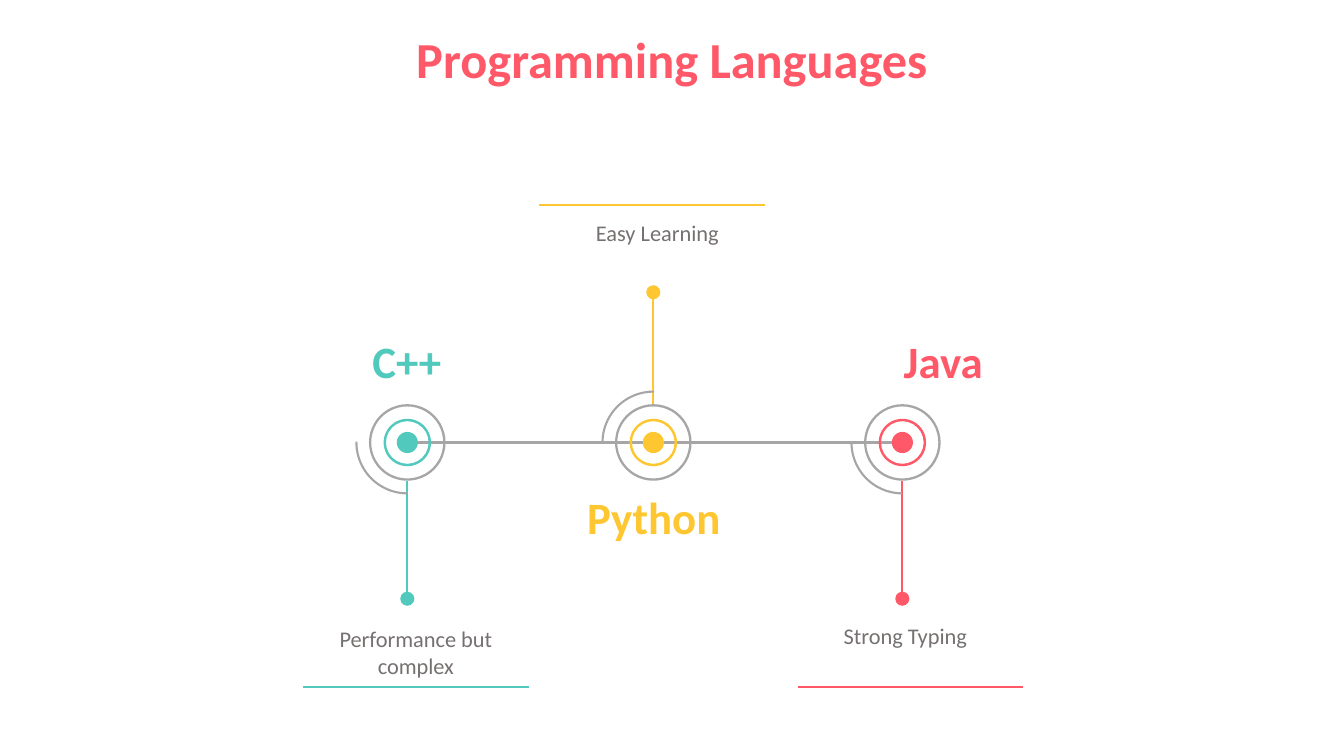
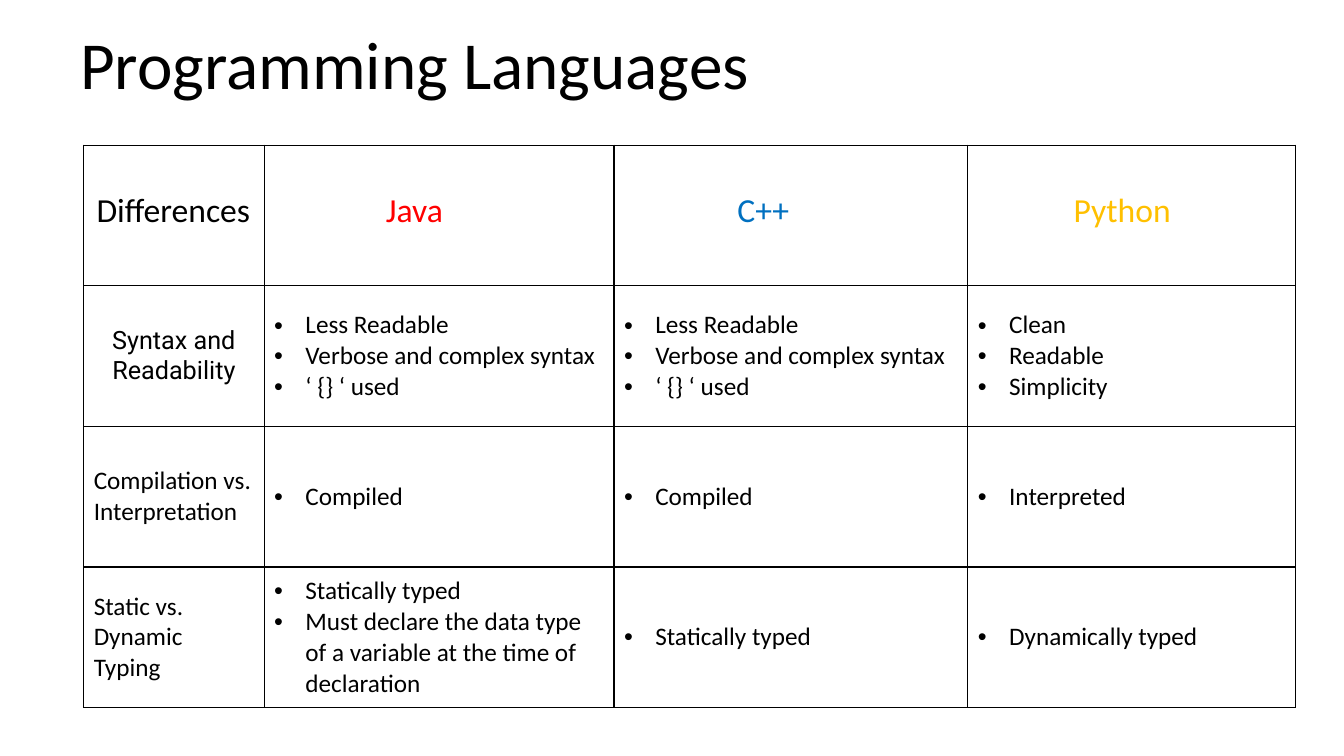
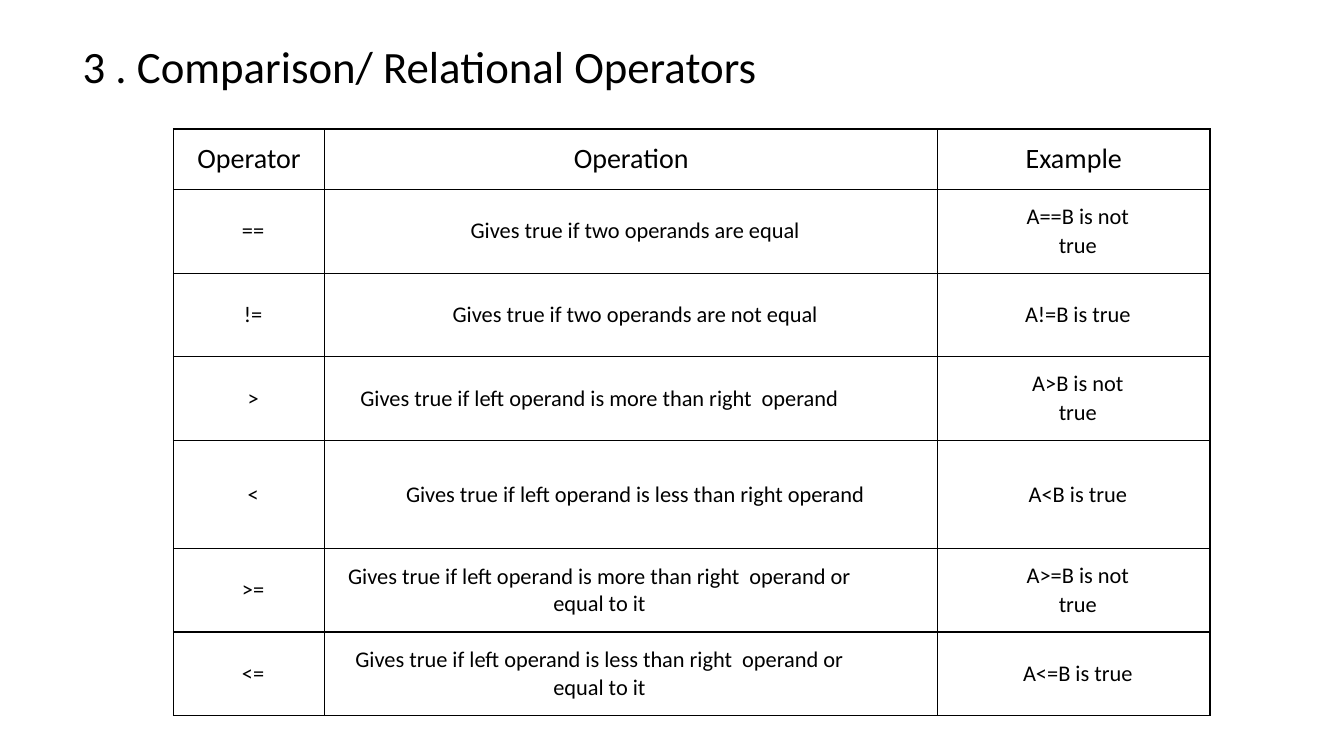
from dataclasses import dataclass

from lxml import etree
from pptx import Presentation
from pptx.dml.color import RGBColor
from pptx.enum.shapes import MSO_CONNECTOR, MSO_SHAPE
from pptx.enum.text import MSO_ANCHOR, MSO_AUTO_SIZE, PP_ALIGN
from pptx.oxml import parse_xml
from pptx.oxml.ns import nsdecls, qn
from pptx.util import Inches, Pt

CENTER, LEFT = PP_ALIGN.CENTER, PP_ALIGN.LEFT
TOP, MIDDLE = MSO_ANCHOR.TOP, MSO_ANCHOR.MIDDLE
OVAL, DONUT, ARC = MSO_SHAPE.OVAL, MSO_SHAPE.DONUT, MSO_SHAPE.ARC
STRAIGHT = MSO_CONNECTOR.STRAIGHT


@dataclass(frozen=True)
class Theme:
    font: str = "Calibri"
    alt_font: str = "Roboto"
    black: str = "000000"
    white: str = "FFFFFF"
    gray: str = "A6A6A6"
    caption: str = "767171"
    teal: str = "52C9BD"
    yellow: str = "FEC630"
    coral: str = "FF5969"
    red: str = "FF0000"
    blue: str = "0070C0"
    gold: str = "FFC000"
    title_bold: int = 36
    title_large: int = 48
    heading: int = 32
    header: int = 24
    column: int = 20
    body: int = 18
    small: int = 16
    line: float = 1.5


T = Theme()


def write(shape, box, text, size, color=T.black, bold=False):
    """Place a title or text box and set its centred text."""
    shape.left, shape.top, shape.width, shape.height = map(Inches, box)
    tf = shape.text_frame
    tf.text = text
    tf.word_wrap = True
    tf.auto_size = MSO_AUTO_SIZE.NONE
    tf.vertical_anchor = TOP
    p = tf.paragraphs[0]
    p.alignment = CENTER
    font = p.runs[0].font
    font.name, font.size, font.bold = T.font, Pt(size), bold
    font.color.rgb = RGBColor.from_string(color)


def add_grid(s, left, top, cols, rows):
    """Add a plain white table with thin black borders."""
    table = s.shapes.add_table(len(rows), len(cols), Inches(left), Inches(top),
                               Inches(sum(cols)), Inches(sum(rows))).table
    table.first_row = table.horz_banding = False
    for col, width in zip(table.columns, cols):
        col.width = Inches(width)
    for row, height in zip(table.rows, rows):
        row.height = Inches(height)
    for cell in table.iter_cells():
        tcPr = cell._tc.get_or_add_tcPr()
        for side in ("lnL", "lnR", "lnT", "lnB"):
            tcPr.append(parse_xml(
                f'<a:{side} {nsdecls("a")} w="{Pt(1)}"><a:solidFill>'
                f'<a:srgbClr val="{T.black}"/></a:solidFill></a:{side}>'))
        cell.fill.solid()
        cell.fill.fore_color.rgb = RGBColor.from_string(T.white)
        cell.vertical_anchor = MIDDLE
    return table


prs = Presentation()
prs.slide_width, prs.slide_height = Inches(13.33), Inches(7.5)
title_only = prs.slide_layouts[5]

# Slide 1: three languages on a timeline
s = prs.slides.add_slide(title_only)
write(s.shapes.title, (4.02, 0.23, 5.29, 1.31), "Programming Languages",
      T.title_bold, T.coral, True)

AXIS = 4.39
# centre x, direction (1 down, -1 up), dot y, rule (x, y), colour,
# name and its box, caption and its box
nodes = [
    (4.04, 1, 5.94, (3.01, 6.82), T.teal, "C++", (2.88, 3.26, 2.31, 0.64),
     "Performance but complex", (2.9, 6.15, 2.45, 0.37)),
    (6.48, -1, 2.9, (5.35, 2.03), T.yellow, "Python", (5.34, 4.81, 2.29, 0.64),
     "Easy Learning", (5.23, 2.13, 2.58, 0.37)),
    (8.95, 1, 5.94, (7.91, 6.82), T.coral, "Java", (7.9, 3.26, 2.91, 0.64),
     "Strong Typing", (7.81, 6.12, 2.34, 0.37)),
]

# Axis segments, stems and rules
lines = [(a[0] + 0.05, AXIS, b[0] - 0.1, AXIS, T.gray)
         for a, b in zip(nodes, nodes[1:])]
for x, way, _, (rule_x, rule_y), color, *_ in nodes:
    lines.append((x, AXIS + way * 0.38, x, AXIS + way * 1.51, color))
    lines.append((rule_x, rule_y, rule_x + 2.24, rule_y, color))
for x1, y1, x2, y2, color in lines:
    c = s.shapes.add_connector(STRAIGHT, Inches(x1), Inches(y1), Inches(x2), Inches(y2))
    c.line.color.rgb = RGBColor.from_string(color)
    c.line.width = Pt(T.line)
    etree.SubElement(c._element.spPr, qn("a:effectLst"))

# Rings, dots and labels
for x, way, dot_y, _, color, name, name_box, caption, caption_box in nodes:
    parts = [
        (ARC, AXIS, 1.01, T.gray, (54.2, 108.53)),
        (OVAL, AXIS, 0.21, color, ()),
        (DONUT, AXIS, 0.47, color, (0.05,)),
        (DONUT, AXIS, 0.76, T.gray, (0.03,)),
        (OVAL, dot_y, 0.14, color, ()),
    ]
    for kind, y, size, part_color, adjustments in parts:
        sp = s.shapes.add_shape(kind, Inches(x - size / 2), Inches(y - size / 2),
                                Inches(size), Inches(size))
        sp.shadow.inherit = False
        for i, value in enumerate(adjustments):
            sp.adjustments[i] = value
        if kind == ARC:
            sp.rotation = 0 if way > 0 else 90
            sp.fill.background()
            sp.line.color.rgb = RGBColor.from_string(part_color)
            sp.line.width = Pt(T.line)
        else:
            sp.fill.solid()
            sp.fill.fore_color.rgb = RGBColor.from_string(part_color)
            sp.line.fill.background()
    write(s.shapes.add_textbox(0, 0, 0, 0), name_box, name, T.heading, color, True)
    write(s.shapes.add_textbox(0, 0, 0, 0), caption_box, caption, T.small, T.caption)

# Slide 2: differences between the languages
s = prs.slides.add_slide(title_only)
write(s.shapes.title, (0.66, 0.17, 6.91, 0.91), "Programming Languages", T.title_large)

verbose = ["Less Readable", "Verbose and complex syntax", "‘ {} ‘ used"]
differences = [
    (["Syntax and Readability"], verbose, verbose,
     ["Clean", "Readable", "Simplicity"]),
    (["Compilation vs. Interpretation"], ["Compiled"], ["Compiled"], ["Interpreted"]),
    (["Static vs. Dynamic Typing"],
     ["Statically typed",
      "Must declare the data type of a variable at the time of declaration"],
     ["Statically typed"], ["Dynamically typed"]),
]
table = add_grid(s, 0.83, 1.44, [1.79, 3.47, 3.51, 3.25], [1.395] * 4)
for r, row in enumerate(differences, 1):
    for c, items in enumerate(row):
        tf = table.cell(r, c).text_frame
        tf.text = "\n".join(items)
        first_topic = r == 1 and c == 0
        for p in tf.paragraphs:
            if c > 0:
                pPr = p._p.get_or_add_pPr()
                pPr.set("marL", str(Inches(0.31)))
                pPr.set("indent", str(Inches(-0.31)))
                etree.SubElement(pPr, qn("a:buFont")).set("typeface", "Arial")
                etree.SubElement(pPr, qn("a:buChar")).set("char", "•")
            p.alignment = CENTER if first_topic else LEFT
            font = p.runs[0].font
            font.name = T.alt_font if first_topic else T.font
            font.size = Pt(T.body)
            font.color.rgb = RGBColor.from_string(T.black)

# Headings over the top row
for x, text, color in [(0.82, "Differences", T.black), (3.21, "Java", T.red),
                       (6.67, "C++", T.blue), (10.23, "Python", T.gold)]:
    write(s.shapes.add_textbox(0, 0, 0, 0), (x, 1.83, 1.8, 0.5), text, T.header, color)

# Slide 3: comparison operators
s = prs.slides.add_slide(title_only)
write(s.shapes.title, (0.61, 0.33, 7.11, 0.64),
      "3 . Comparison/ Relational Operators", T.heading)

operators = [
    ("Operator", "Operation", "Example"),
    ("==", "Gives true if two operands are equal", "A==B is not\ntrue"),
    ("!=", "Gives true if two operands are not equal", "A!=B is true"),
    (">", "Gives true if left operand is more than right  operand", "A>B is not\ntrue"),
    ("<", "Gives true if left operand is less than right operand", "A<B is true"),
    (">=", "Gives true if left operand is more than right  operand or equal to it",
     "A>=B is not\ntrue"),
    ("<=", "Gives true if left operand is less than right  operand or equal to it",
     "A<=B is true"),
]
narrow_rows = (3, 5, 6)
table = add_grid(s, 1.72, 1.28, [1.5, 6.08, 2.7],
                 [0.6, 0.83, 0.83, 0.83, 1.07, 0.83, 0.83])
for r, row in enumerate(operators):
    for c, text in enumerate(row):
        cell = table.cell(r, c)
        cell.margin_left = cell.margin_right = Inches(0.07)
        cell.margin_top = cell.margin_bottom = Inches(0.07)
        if c == 1 and r in narrow_rows:
            cell.margin_right = Inches(0.78)
        cell.text_frame.text = text
        for i, p in enumerate(cell.text_frame.paragraphs):
            p.alignment = CENTER
            if r > 0:
                p._p.get_or_add_pPr().set("marL", str(Inches(0.08)))
            if i > 0:
                p.space_before = Pt(0.9)
            font = p.runs[0].font
            font.name = T.font
            font.size = Pt(T.small if r else T.column)
            font.color.rgb = RGBColor.from_string(T.black)

prs.save("out.pptx")
